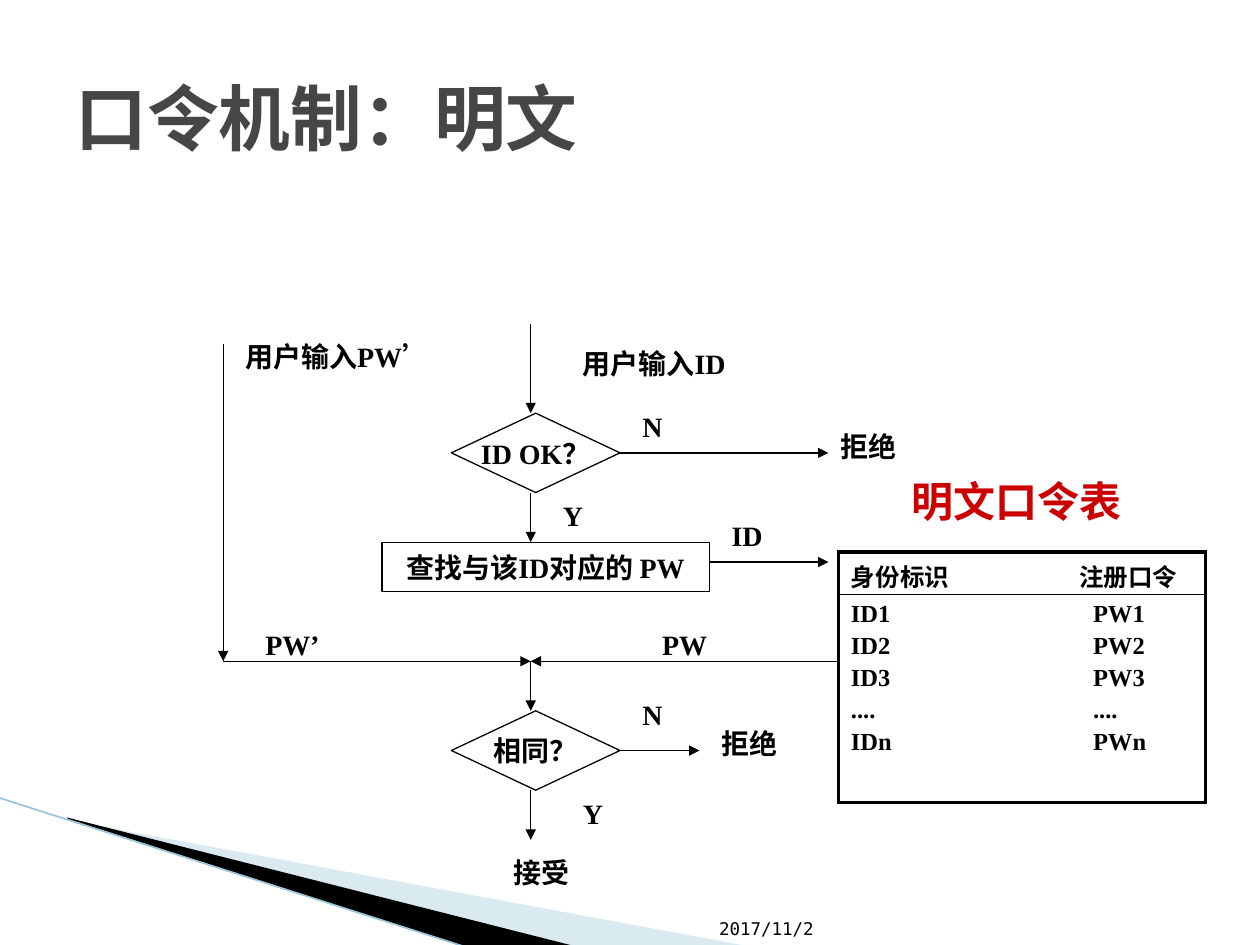
"""Build the slide on the plain-text password check."""
from lxml.etree import SubElement as Sub
from pptx import Presentation
from pptx.dml.color import RGBColor as RGB
from pptx.enum.shapes import MSO_CONNECTOR as Link, MSO_SHAPE as Form
from pptx.enum.text import MSO_ANCHOR as Anchor, PP_ALIGN as Align
from pptx.oxml.ns import qn
from pptx.util import Cm, Pt

BLACK = RGB(0, 0, 0)
WHITE = RGB(255, 255, 255)
GRAY = RGB(0x46, 0x46, 0x46)
RED = RGB(0xCC, 0, 0)
PALE = RGB(0xA0, 0xCB, 0xDC)
EDGE = RGB(0x97, 0xC5, 0xD8)
SERIF = "Times New Roman"
MONO = "DejaVu Sans Mono"

AXIS, SIDE, MERGE = 10.7, 4.5, 13.33
WEDGES = [
    (PALE, 40, [(1.4, 16.54), (15.11, 19.08), (11.58, 19.08), (1.4, 16.51)]),
    (BLACK, 100, [(1.35, 16.48), (11.61, 19.08), (9.45, 19.1), (1.37, 16.51)]),
]
LABELS = [
    ("用户输入ID", 11.5, 6.86, 5.6),
    ("拒绝", 16.7, 8.53, 3.6),
    ("接受", 10.1, 17.13, 1.8),
    ("拒绝", 14.3, 14.53, 2),
    ("N", 12.7, 8.13, 2),
    ("N", 12.7, 13.93, 2),
    ("Y", 11.1, 9.93, 2),
    ("Y", 11.5, 15.93, 2),
    ("用户输入PW’", 4.7, 6.73, 5.6),
    ("PW’", 5.1, 12.53, 3.2),
    ("PW", 13.1, 12.53, 3.2),
    ("ID", 14.5, 10.32, 1.4),
]
ARROWS = [
    (AXIS, 6.53, AXIS, 8.33),
    (AXIS, 9.93, AXIS, 10.93),
    (14.3, 11.33, 16.7, 11.33),
    (SIDE, 6.93, SIDE, MERGE),
    (SIDE, MERGE, AXIS, MERGE),
    (16.9, MERGE, AXIS, MERGE),
    (AXIS, MERGE, AXIS, 14.33),
    (AXIS, 15.93, AXIS, 16.93),
]
ROWS = [("ID1", "PW1"), ("ID2", "PW2"), ("ID3", "PW3"), ("....", "...."), ("IDn", "PWn")]


def style(para, size, color=BLACK, name=SERIF, bold=True):
    """Set the font of a paragraph."""
    font = para.font
    font.size, font.name, font.bold = Pt(size), name, bold
    font.color.rgb = color


def label(slide, text, x, y, w, h=0.94, size=16, anchor=Anchor.TOP, align=None, **look):
    """Add a text box with one line."""
    frame = slide.shapes.add_textbox(Cm(x), Cm(y), Cm(w), Cm(h)).text_frame
    frame.word_wrap, frame.vertical_anchor = True, anchor
    para = frame.paragraphs[0]
    para.text, para.alignment = text, align
    style(para, size, **look)


def node(slide, form, text, x, y, w, h):
    """Add an outlined step of the flow."""
    shape = slide.shapes.add_shape(form, Cm(x), Cm(y), Cm(w), Cm(h))
    shape.shadow.inherit = False
    shape.fill.solid()
    shape.fill.fore_color.rgb = WHITE
    shape.line.color.rgb, shape.line.width = BLACK, Pt(0.75)
    frame = shape.text_frame
    frame.word_wrap, frame.vertical_anchor = False, Anchor.MIDDLE
    para = frame.paragraphs[0]
    para.text, para.alignment = text, Align.CENTER
    style(para, 16)
    return shape


def line(slide, x1, y1, x2, y2, color=BLACK, width=0.75, head=True, start=None):
    """Add a straight line, by default an arrow."""
    link = slide.shapes.add_connector(Link.STRAIGHT, Cm(x1), Cm(y1), Cm(x2), Cm(y2))
    link.line.color.rgb, link.line.width = color, Pt(width)
    if head:
        Sub(link.line._get_or_add_ln(), qn("a:tailEnd"), type="triangle")
    Sub(link._element.spPr, qn("a:effectLst"))
    if start is not None:
        link.begin_connect(start, 3)


def wedge(slide, color, alpha, dots):
    """Add a filled corner wedge."""
    first, *rest = [(Cm(x), Cm(y)) for x, y in dots]
    pen = slide.shapes.build_freeform(*first)
    pen.add_line_segments(rest)
    shape = pen.convert_to_shape()
    shape.shadow.inherit = False
    shape.fill.solid()
    shape.fill.fore_color.rgb = color
    shape.line.fill.background()
    if alpha < 100:
        tint = shape._element.spPr.find(".//" + qn("a:srgbClr"))
        Sub(tint, qn("a:alpha"), val=str(alpha * 1000))


def border(cell, **widths):
    """Draw the cell's borders, named L, R, T and B."""
    props = cell._tc.get_or_add_tcPr()
    for spot, (side, width) in enumerate(widths.items()):
        edge = Sub(props, qn("a:ln" + side), w=str(Pt(width)))
        Sub(Sub(edge, qn("a:solidFill")), qn("a:srgbClr"), val=str(BLACK))
        props.insert(spot, edge)


def fill(cell, pairs, tab):
    """Write pairs set apart by a tab stop."""
    cell.fill.background()
    frame = cell.text_frame
    frame.text = "\n".join("\t".join(pair) for pair in pairs)
    for spot, para in enumerate(frame.paragraphs):
        if spot:
            para.space_before = Pt(2.8)
        tabs = Sub(para._p.get_or_add_pPr(), qn("a:tabLst"))
        Sub(tabs, qn("a:tab"), pos=str(Cm(tab)), algn="l")
        style(para, 14)


def listing(slide):
    """Add the password table."""
    table = slide.shapes.add_table(2, 1, Cm(16.9), Cm(11.13), Cm(7.4), Cm(5.05)).table
    table.first_row = table.horz_banding = False
    table.rows[0].height, table.rows[1].height = Cm(0.85), Cm(4.2)
    top, body = table.cell(0, 0), table.cell(1, 0)
    fill(top, [("身份标识", "注册口令")], 4.6)
    fill(body, ROWS, 4.88)
    border(top, L=2.25, R=2.25, T=2.25, B=1)
    border(body, L=2.25, R=2.25, T=1, B=2.25)


def main():
    """Build and save the slide."""
    deck = Presentation()
    deck.slide_width, deck.slide_height = Cm(25.4), Cm(19.05)
    slide = deck.slides.add_slide(deck.slide_layouts[6])
    for item in WEDGES:
        wedge(slide, *item)
    line(slide, -0.03, 16.08, 9.42, 19.1, EDGE, 0.95, head=False)
    label(slide, "2017/11/2", 14.25, 17.81, 2.84, 1.24, 10, Anchor.BOTTOM,
          name=MONO, bold=False)
    label(slide, "口令机制：明文", 1.27, 0.76, 22.86, 3.18, 41, Anchor.MIDDLE,
          color=GRAY, name=MONO)
    for text, y, end in [("ID OK？", 8.33, 16.7), ("相同？", 14.33, 14.1)]:
        test = node(slide, Form.FLOWCHART_DECISION, text, 9.1, y, 3.4, 1.6)
        line(slide, 12.5, y + 0.8, end, y + 0.8, start=test)
    node(slide, Form.RECTANGLE, "查找与该ID对应的 PW", 7.7, 10.93, 6.6, 1)
    listing(slide)
    for ends in ARROWS:
        line(slide, *ends)
    for item in LABELS:
        label(slide, *item)
    label(slide, "明文口令表", 17.1, 9.47, 6.8, 1.27, 24, align=Align.CENTER, color=RED)
    deck.save("out.pptx")


if __name__ == "__main__":
    main()
